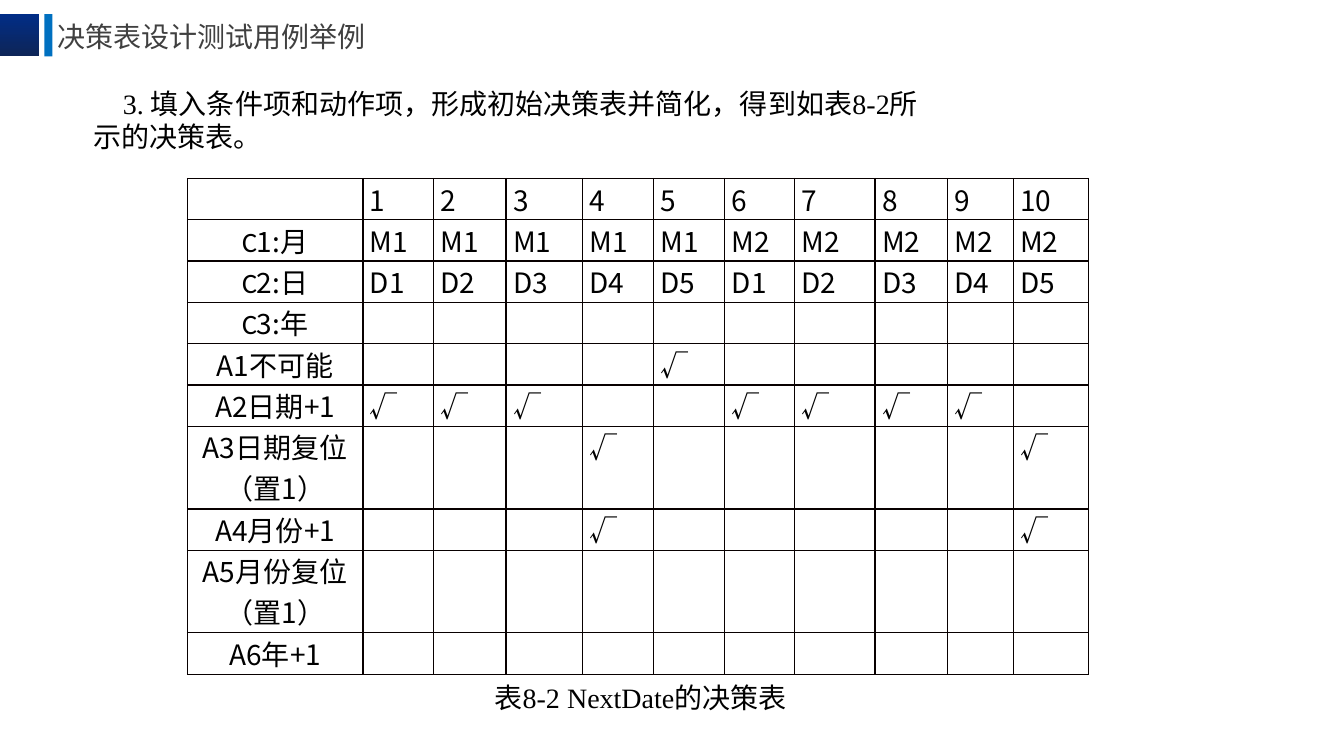
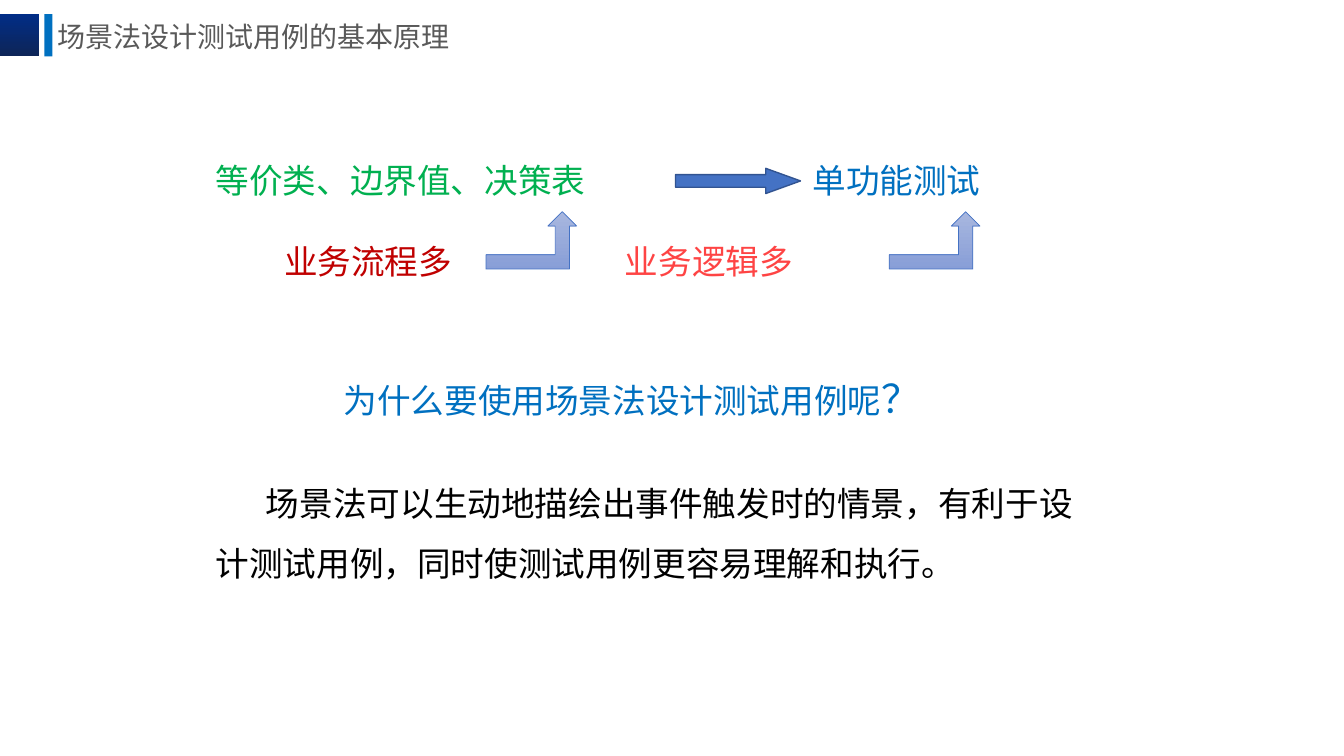
from lxml import etree
from pptx import Presentation
from pptx.dml.color import RGBColor
from pptx.enum.shapes import MSO_SHAPE
from pptx.enum.text import MSO_ANCHOR, PP_ALIGN
from pptx.oxml.ns import qn
from pptx.util import Inches, Pt

RECTANGLE = MSO_SHAPE.RECTANGLE
RIGHT_ARROW = MSO_SHAPE.RIGHT_ARROW
BENT_ARROW = MSO_SHAPE.BENT_UP_ARROW
MIDDLE = MSO_ANCHOR.MIDDLE
LEFT, CENTER = PP_ALIGN.LEFT, PP_ALIGN.CENTER

SANS, SERIF, LATIN = "Noto Sans CJK SC", "Times New Roman", "Calibri"
COLORS = {
    "navy": "012D86", "navy_dark": "0E2557", "blue": "0070C0",
    "title_dark": "404040", "title_gray": "595959", "black": "000000",
    "border": "080000", "green": "00B050", "red": "C00000", "coral": "FE4444",
    "arrow": "4472C4", "arrow_line": "325491",
    "bent_top": "A8B7DF", "bent_bottom": "889ED7",
}


def write(paragraph, text, size=20, color="black", font=SANS, align=None,
          indent=None, spacing=None, before=None, tabs=()):
    """Add a run to a paragraph and apply the given formats."""
    properties = paragraph._p.get_or_add_pPr()
    if align is not None:
        paragraph.alignment = align
    if spacing is not None:
        paragraph.line_spacing = Pt(spacing)
    if before is not None:
        paragraph.space_before = Pt(before)
    if indent is not None:
        properties.set("indent", str(Inches(indent)))
    if tabs:
        tab_list = etree.SubElement(properties, qn("a:tabLst"))
        for tab in tabs:
            etree.SubElement(tab_list, qn("a:tab"), pos=str(Inches(tab)), algn="l")
    run = paragraph.add_run()
    run.text = text
    run.font.size = Pt(size)
    run.font.name = font
    run.font.color.rgb = RGBColor.from_string(COLORS[color])
    east_asian = etree.SubElement(run._r.get_or_add_rPr(), qn("a:ea"))
    east_asian.set("typeface", SANS)


def add_filled(slide, kind, box, fills, line=None, width=1):
    """Add a shape with one fill colour or a top-to-bottom gradient of two."""
    shape = slide.shapes.add_shape(kind, *map(Inches, box))
    shape.shadow.inherit = False
    if len(fills) == 1:
        shape.fill.solid()
        shape.fill.fore_color.rgb = RGBColor.from_string(COLORS[fills[0]])
    else:
        shape.fill.gradient()
        shape.fill.gradient_angle = 270
        for stop, name in zip(shape.fill.gradient_stops, fills):
            stop.color.rgb = RGBColor.from_string(COLORS[name])
    if line:
        shape.line.color.rgb = RGBColor.from_string(COLORS[line])
        shape.line.width = Pt(width)
    else:
        shape.line.fill.background()
    return shape


presentation = Presentation()
presentation.slide_width = Inches(13.33)
presentation.slide_height = Inches(7.5)

# Header shared by both slides
slides = []
for title, width, color in [
    ("决策表设计测试用例举例", 3.26, "title_dark"),
    ("场景法设计测试用例的基本原理", 4.35, "title_gray"),
]:
    slide = presentation.slides.add_slide(presentation.slide_layouts[6])
    add_filled(slide, RECTANGLE, (-0.01, 0.14, 0.4, 0.42), ["navy", "navy_dark"])
    add_filled(slide, RECTANGLE, (0.44, 0.14, 0.08, 0.42), ["blue"])
    title_box = slide.shapes.add_textbox(
        Inches(0.47), Inches(0.06), Inches(width), Inches(0.61))
    title_box.text_frame.word_wrap = False
    title_box.text_frame.vertical_anchor = MIDDLE
    write(title_box.text_frame.paragraphs[0], title, color=color)
    slides.append(slide)
table_slide, scenario_slide = slides

# Slide 1: introduction and table caption
for text, box, align in [
    ("3. 填入条件项和动作项，形成初始决策表并简化，得到如表8-2所示的决策表。",
     (0.83, 0.81, 8.46, 1.11), LEFT),
    ("表8-2 NextDate的决策表", (3.43, 6.71, 5.56, 0.44), CENTER),
]:
    text_box = table_slide.shapes.add_textbox(*map(Inches, box))
    text_box.text_frame.word_wrap = True
    write(text_box.text_frame.paragraphs[0], text, font=SERIF, align=align,
          indent=0.29, spacing=23.6)

# Slide 1: decision table, with the rules that trigger each action
column_widths = [1.74, 0.7, 0.72, 0.76, 0.7, 0.71, 0.69, 0.8, 0.72, 0.65, 0.75]
rule_numbers = range(1, 11)
actions = [
    ("A1不可能", {5}),
    ("A2日期+1", {1, 2, 3, 6, 7, 8, 9}),
    ("A3日期复位（置1）", {4, 10}),
    ("A4月份+1", {4, 10}),
    ("A5月份复位（置1）", set()),
    ("A6年+1", set()),
]
rows = [
    [""] + [str(rule) for rule in rule_numbers],
    ["C1:月"] + ["M1"] * 5 + ["M2"] * 5,
    ["C2:日"] + [f"D{day}" for day in range(1, 6)] * 2,
    ["C3:年"] + [""] * 10,
]
for label, marked in actions:
    rows.append([label] + ["√" if rule in marked else "" for rule in rule_numbers])

table = table_slide.shapes.add_table(
    len(rows), len(column_widths), Inches(1.86), Inches(1.77),
    Inches(8.93), Inches(4.94)).table
table.first_row = table.horz_banding = False
for column, width in zip(table.columns, column_widths):
    column.width = Inches(width)
for row, texts in zip(table.rows, rows):
    row.height = Inches(0.82 if "（" in texts[0] else 0.41)
    for index, (cell, text) in enumerate(zip(row.cells, texts)):
        cell.margin_left = cell.margin_right = Inches(0.07)
        cell.margin_top = cell.margin_bottom = 0
        cell_properties = cell._tc.get_or_add_tcPr()
        for side in ("lnL", "lnR", "lnT", "lnB"):
            border = etree.SubElement(cell_properties, qn(f"a:{side}"), w=str(Pt(1)))
            border_fill = etree.SubElement(border, qn("a:solidFill"))
            etree.SubElement(border_fill, qn("a:srgbClr"), val=COLORS["border"])
        cell.fill.background()
        paragraph = cell.text_frame.paragraphs[0]
        paragraph.alignment = LEFT if index else CENTER
        if text.startswith("C"):
            write(paragraph, "C", font=LATIN)
            text = text[1:]
        if text:
            write(paragraph, text)

# Slide 2: methods, the question and its answer
body = scenario_slide.shapes.add_textbox(
    Inches(2.04), Inches(1.54), Inches(9), Inches(4.5)).text_frame
body.word_wrap = True
paragraphs = [
    ([("等价类、边界值、决策表\t", "green", 24), ("单功能测试", "blue", 24)],
     dict(spacing=28.8, tabs=(5.92,))),
    ([("\t业务流程多\t", "red", 24), ("业务逻辑多", "coral", 24)],
     dict(spacing=28.8, before=29, tabs=(0.68, 4.06))),
    ([("为什么要使用场景法设计测试用例呢", "blue", 24), ("？", "blue", 28)],
     dict(spacing=28.8, before=71, indent=1.27)),
    ([("场景法可以生动地描绘出事件触发时的情景，有利于设计测试用例，"
       "同时使测试用例更容易理解和执行。", "black", 24)],
     dict(spacing=42.9, before=30, indent=0.5)),
]
for number, (runs, layout) in enumerate(paragraphs):
    paragraph = body.add_paragraph() if number else body.paragraphs[0]
    for position, (text, color, size) in enumerate(runs):
        write(paragraph, text, size=size, color=color,
              **({} if position else layout))

# Slide 2: arrows
arrow = add_filled(scenario_slide, RIGHT_ARROW, (6.7, 1.67, 1.24, 0.25),
                   ["arrow"], line="arrow_line")
arrow.adjustments[1] = 1.38
for left in (4.82, 8.82):
    add_filled(scenario_slide, BENT_ARROW, (left, 2.1, 0.9, 0.57),
               ["bent_top", "bent_bottom"], line="arrow", width=0.5)

presentation.save("out.pptx")
